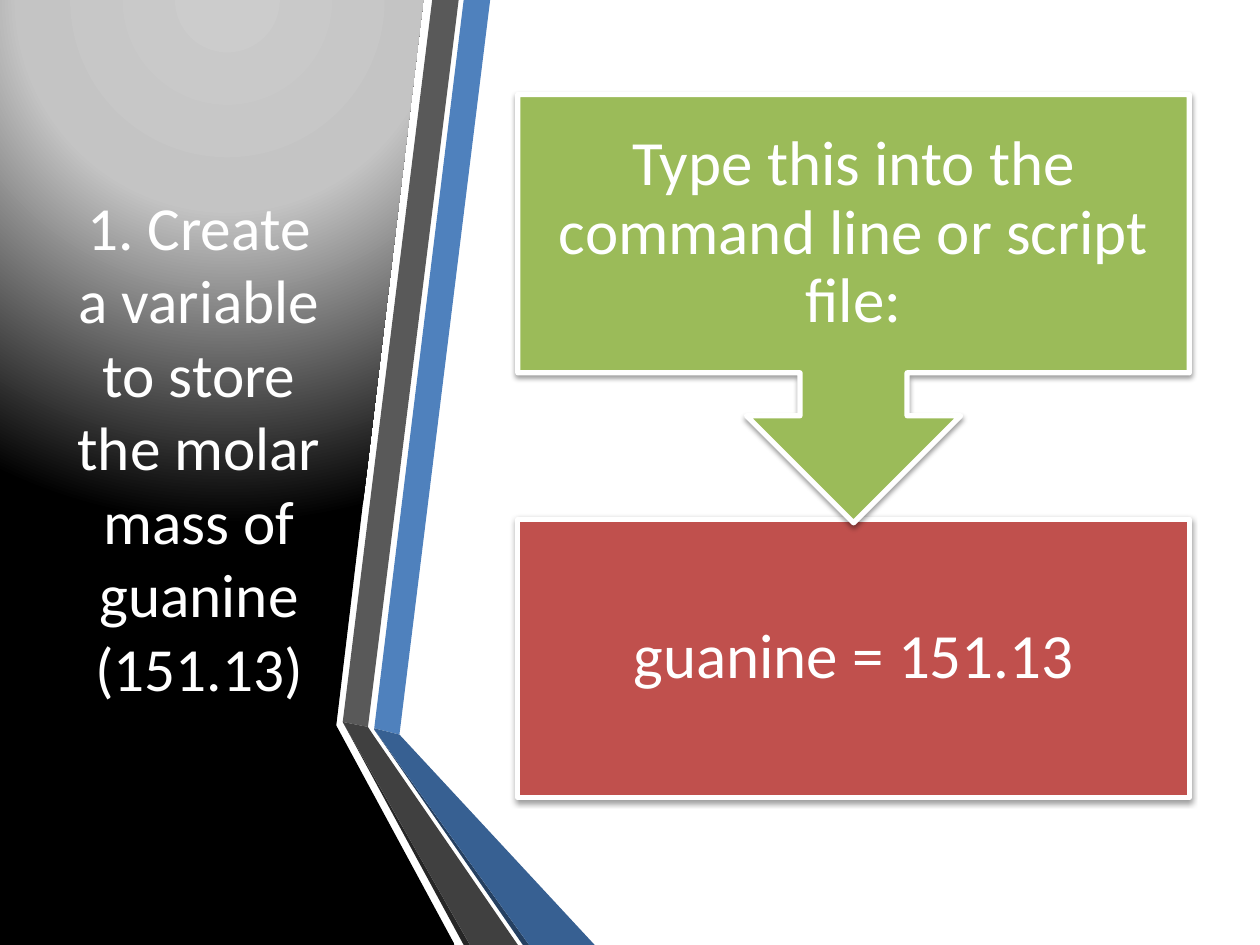
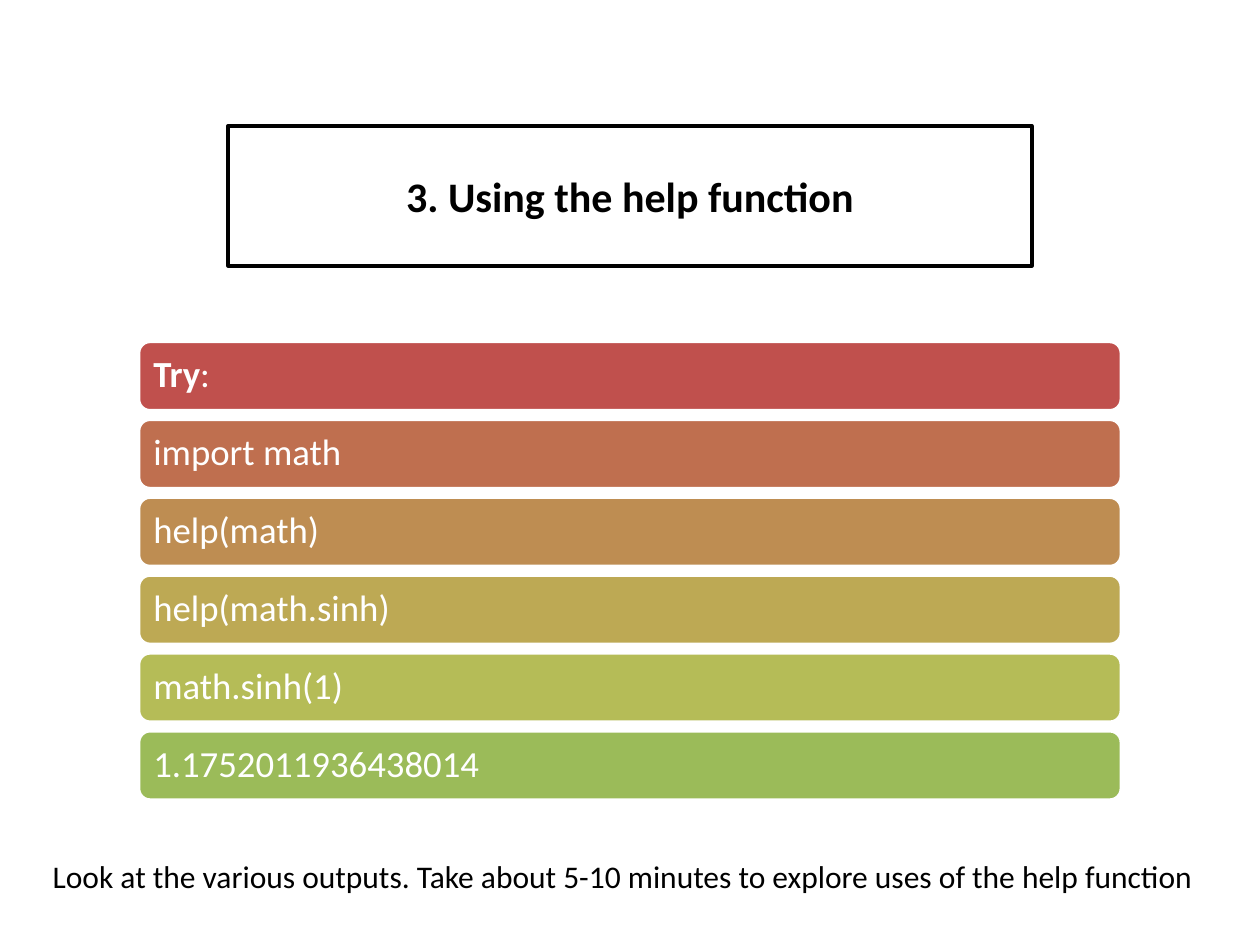
"""Builds two tutorial slides: storing a molar mass and using the help function."""
from lxml import etree
from pptx import Presentation
from pptx.dml.color import RGBColor
from pptx.enum.shapes import MSO_SHAPE
from pptx.enum.text import MSO_ANCHOR, PP_ALIGN
from pptx.oxml import parse_xml
from pptx.oxml.ns import nsdecls, qn
from pptx.util import Inches, Pt

RECTANGLE = MSO_SHAPE.RECTANGLE
ROUNDED = MSO_SHAPE.ROUNDED_RECTANGLE
CALLOUT = MSO_SHAPE.DOWN_ARROW_CALLOUT
MIDDLE, TOP = MSO_ANCHOR.MIDDLE, MSO_ANCHOR.TOP
CENTER, LEFT = PP_ALIGN.CENTER, PP_ALIGN.LEFT

FONT = "Calibri"
WHITE = RGBColor(0xFF, 0xFF, 0xFF)
BLACK = RGBColor(0x00, 0x00, 0x00)
RED = RGBColor(0xC0, 0x50, 0x4D)
RUST = RGBColor(0xBF, 0x6F, 0x4F)
OCHRE = RGBColor(0xBE, 0x8D, 0x52)
MUSTARD = RGBColor(0xBD, 0xA9, 0x54)
LIME = RGBColor(0xB5, 0xBC, 0x57)
GREEN = RGBColor(0x9B, 0xBB, 0x59)
BLUE = RGBColor(0x4F, 0x81, 0xBD)
MID_BLUE = RGBColor(0x37, 0x60, 0x92)
NAVY = RGBColor(0x25, 0x40, 0x61)
GREY = RGBColor(0x59, 0x59, 0x59)
DARK_GREY = RGBColor(0x40, 0x40, 0x40)
CHARCOAL = RGBColor(0x26, 0x26, 0x26)

PANEL_GRADIENT = f"""<a:gradFill {nsdecls('a')} rotWithShape="1"><a:gsLst>
<a:gs pos="0"><a:srgbClr val="CCCCCC"/></a:gs>
<a:gs pos="40000"><a:srgbClr val="C4C4C4"/></a:gs>
<a:gs pos="100000"><a:srgbClr val="000000"/></a:gs></a:gsLst>
<a:path path="circle"><a:fillToRect l="50000" t="-80000" r="50000" b="180000"/></a:path>
</a:gradFill>"""
BOX_SHADOW = f"""<a:effectLst {nsdecls('a')}>
<a:outerShdw blurRad="39370" dist="20320" dir="5400000" rotWithShape="0">
<a:srgbClr val="000000"><a:alpha val="38000"/></a:srgbClr></a:outerShdw></a:effectLst>"""


def write(box, spans, size, color, align, anchor=MIDDLE, inset=None, spacing=None):
    """Fill a shape with one paragraph made of (words, bold) spans."""
    frame = box.text_frame
    frame.word_wrap = True
    frame.vertical_anchor = anchor
    if inset is not None:
        frame.margin_left = frame.margin_right = Inches(inset)
        frame.margin_top = frame.margin_bottom = Inches(inset)
    para = frame.paragraphs[0]
    para.alignment = align
    para.line_spacing = spacing
    para.font.name = FONT
    para.font.size = Pt(size)
    para.font.color.rgb = color
    for words, bold in spans:
        span = para.add_run()
        span.text = words
        span.font.bold = bold


def add_block(page, kind, place, fill, line, width):
    """Add a filled and outlined preset shape without a shadow."""
    block = page.shapes.add_shape(kind, *[Inches(value) for value in place])
    block.shadow.inherit = False
    block.fill.solid()
    block.fill.fore_color.rgb = fill
    block.line.color.rgb = line
    block.line.width = Pt(width)
    return block


deck = Presentation()
deck.slide_width, deck.slide_height = Inches(10), Inches(7.5)
blank = deck.slide_layouts[6]

page = deck.slides.add_slide(blank)
outlines = [
    (BLACK, [(0, 0), (3.36, 0), (2.67, 5.75), (2.67, 5.76), (3.61, 7.5), (0, 7.5)]),
    (BLUE, [(2.97, 5.78), (3.17, 5.83), (3.89, 0), (3.68, 0)]),
    (GREY, [(3.64, 0), (3.43, 0), (2.72, 5.73), (2.92, 5.77)]),
    (CHARCOAL, [(2.72, 5.73), (3.68, 7.5), (3.73, 7.5)]),
    (NAVY, [(2.97, 5.79), (4.15, 7.5), (4.2, 7.5)]),
    (MID_BLUE, [(2.97, 5.79), (4.2, 7.5), (4.72, 7.5), (3.17, 5.83), (2.97, 5.78)]),
    (DARK_GREY, [(4.11, 7.5), (2.96, 5.83), (2.92, 5.77), (2.72, 5.73), (3.73, 7.5)]),
]
bands = []
for color, points in outlines:
    corners = [(Inches(x), Inches(y)) for x, y in points]
    builder = page.shapes.build_freeform(*corners[0])
    builder.add_line_segments(corners[1:], close=True)
    band = builder.convert_to_shape()
    band.shadow.inherit = False
    band.fill.solid()
    band.fill.fore_color.rgb = color
    band.line.fill.background()
    bands.append(band)
panel_properties = bands[0].element.spPr
panel_properties.replace(panel_properties.find(qn("a:solidFill")), parse_xml(PANEL_GRADIENT))

title = page.shapes.add_textbox(Inches(0.44), Inches(0.75), Inches(2.28), Inches(5.58))
task = "1. Create a variable to store the molar mass of guanine (151.13)"
write(title, [(task, False)], 35, WHITE, CENTER)

steps = [
    (RECTANGLE, 4.12, 2.21, RED, "guanine = 151.13"),
    (CALLOUT, 0.75, 3.4, GREEN, "Type this into the command line or script file:"),
]
for kind, top, height, color, words in steps:
    step = add_block(page, kind, (4.11, top, 5.33, height), color, WHITE, 3)
    properties = step.element.spPr
    properties.replace(properties.find(qn("a:effectLst")), parse_xml(BOX_SHADOW))
    write(step, [(words, False)], 36, WHITE, CENTER, inset=0.28, spacing=0.9)

page = deck.slides.add_slide(blank)
title = add_block(page, RECTANGLE, (1.81, 1, 6.38, 1.11), WHITE, BLACK, 2)
title_color = title.element.spPr.find(qn("a:solidFill"))[0]
etree.SubElement(title_color, qn("a:alpha")).set("val", "10000")
write(title, [("3. Using the help function", True)], 24, BLACK, CENTER)

commands = [
    (RED, [("Try", True), (":", False)]),
    (RUST, [("import math", False)]),
    (OCHRE, [("help(math)", False)]),
    (MUSTARD, [("help(math.sinh)", False)]),
    (LIME, [("math.sinh(1)", False)]),
    (GREEN, [("1.1752011936438014", False)]),
]
for index, (color, spans) in enumerate(commands):
    top = 2.71 + index * 3.09 / 5
    bar = add_block(page, ROUNDED, (1.1, top, 7.8, 0.55), color, WHITE, 2)
    write(bar, spans, 21, WHITE, LEFT, inset=0.09, spacing=0.9)

closing = page.shapes.add_textbox(Inches(0.32), Inches(6.75), Inches(9.36), Inches(0.4))
advice = "Look at the various outputs. Take about 5-10 minutes to explore uses of the help function"
write(closing, [(advice, False)], 18, BLACK, LEFT, anchor=TOP)
closing.text_frame.word_wrap = False

deck.save("out.pptx")
